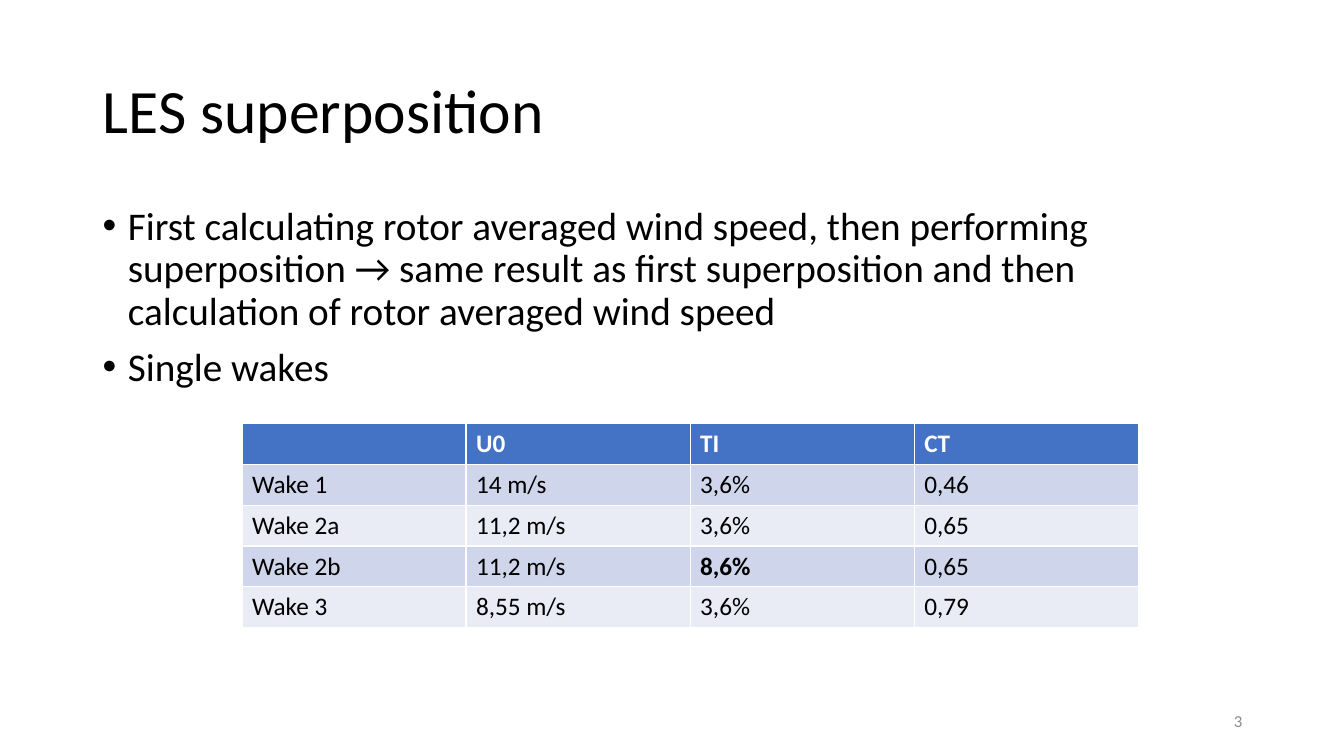
import pptx
import pptx.util
import pptx.dml.color
import pptx.enum.text
import pptx.oxml
import pptx.oxml.ns

TITLE = "LES superposition"
BULLETS = [
    "First calculating rotor averaged wind speed, then performing superposition → "
    "same result as first superposition and then calculation of rotor averaged wind speed",
    "Single wakes",
]
PAGE = "3"
WAKES = [
    ("", "U0", "TI", "CT"),
    ("Wake 1", "14 m/s", "3,6%", "0,46"),
    ("Wake 2a", "11,2 m/s", "3,6%", "0,65"),
    ("Wake 2b", "11,2 m/s", "8,6%", "0,65"),
    ("Wake 3", "8,55 m/s", "3,6%", "0,79"),
]
BOLD_VALUE = "8,6%"
HEADER_FILL, BAND_FILLS = "4472C4", ("E9EBF5", "CFD5EA")
BLACK, WHITE, GREY = "000000", "FFFFFF", "8C8C8C"

WIDTH, HEIGHT = 13.33, 7.5
MARGIN = 0.92
CONTENT = 11.5
TABLE_LEFT, TABLE_TOP, TABLE_WIDTH, ROW = 2.4, 4.2, 8.89, 0.405

Inches, Pt = pptx.util.Inches, pptx.util.Pt
ALIGN, ANCHOR = pptx.enum.text.PP_ALIGN, pptx.enum.text.MSO_ANCHOR


def rgb(value):
    return pptx.dml.color.RGBColor.from_string(value)


def assign(target, values):
    for name, value in values.items():
        setattr(target, name, value)


def write(p, text, size, color, bold=False, **layout):
    r = p.add_run()
    r.text = text
    assign(r.font, {"name": "Calibri", "size": Pt(size), "bold": bold})
    r.font.color.rgb = rgb(color)
    assign(p, layout)


def place(sp, left, top, width, height, anchor):
    assign(sp, {"left": Inches(left), "top": Inches(top),
                "width": Inches(width), "height": Inches(height)})
    tf = sp.text_frame
    assign(tf, {"word_wrap": True, "vertical_anchor": anchor,
                "auto_size": pptx.enum.text.MSO_AUTO_SIZE.NONE})
    return tf


def add_bullet(p):
    pPr = p._p.get_or_add_pPr()
    pPr.set("marL", str(Inches(0.25)))
    pPr.set("indent", str(Inches(-0.25)))
    ns = pptx.oxml.ns.nsdecls("a")
    pPr.append(pptx.oxml.parse_xml(f'<a:buFont {ns} typeface="Arial"/>'))
    pPr.append(pptx.oxml.parse_xml(f'<a:buChar {ns} char="•"/>'))


def add_wake_table(s):
    table = s.shapes.add_table(
        len(WAKES), len(WAKES[0]), Inches(TABLE_LEFT), Inches(TABLE_TOP),
        Inches(TABLE_WIDTH), Inches(ROW * len(WAKES))).table
    for i, row in enumerate(WAKES):
        for j, text in enumerate(row):
            cell = table.cell(i, j)
            cell.fill.solid()
            cell.fill.fore_color.rgb = rgb(BAND_FILLS[i % 2] if i else HEADER_FILL)
            write(cell.text_frame.paragraphs[0], text, 18, BLACK if i else WHITE,
                  i == 0 or text == BOLD_VALUE)


def main():
    prs = pptx.Presentation()
    assign(prs, {"slide_width": Inches(WIDTH), "slide_height": Inches(HEIGHT)})
    s = prs.slides.add_slide(prs.slide_layouts[5])

    tf = place(s.shapes.title, MARGIN, 0.4, CONTENT, 1.45, ANCHOR.MIDDLE)
    write(tf.paragraphs[0], TITLE, 44, BLACK, alignment=ALIGN.LEFT, line_spacing=0.9)

    tf = place(s.shapes.add_textbox(0, 0, 0, 0), MARGIN, 2, CONTENT, 4.76, ANCHOR.TOP)
    for i, text in enumerate(BULLETS):
        p = tf.add_paragraph() if i else tf.paragraphs[0]
        write(p, text, 28, BLACK, line_spacing=0.9, space_before=Pt(10))
        add_bullet(p)

    tf = place(s.shapes.add_textbox(0, 0, 0, 0),
               MARGIN + CONTENT - 3, 6.95, 3, 0.4, ANCHOR.MIDDLE)
    write(tf.paragraphs[0], PAGE, 12, GREY, alignment=ALIGN.RIGHT)

    add_wake_table(s)
    prs.save("out.pptx")


if __name__ == "__main__":
    main()
